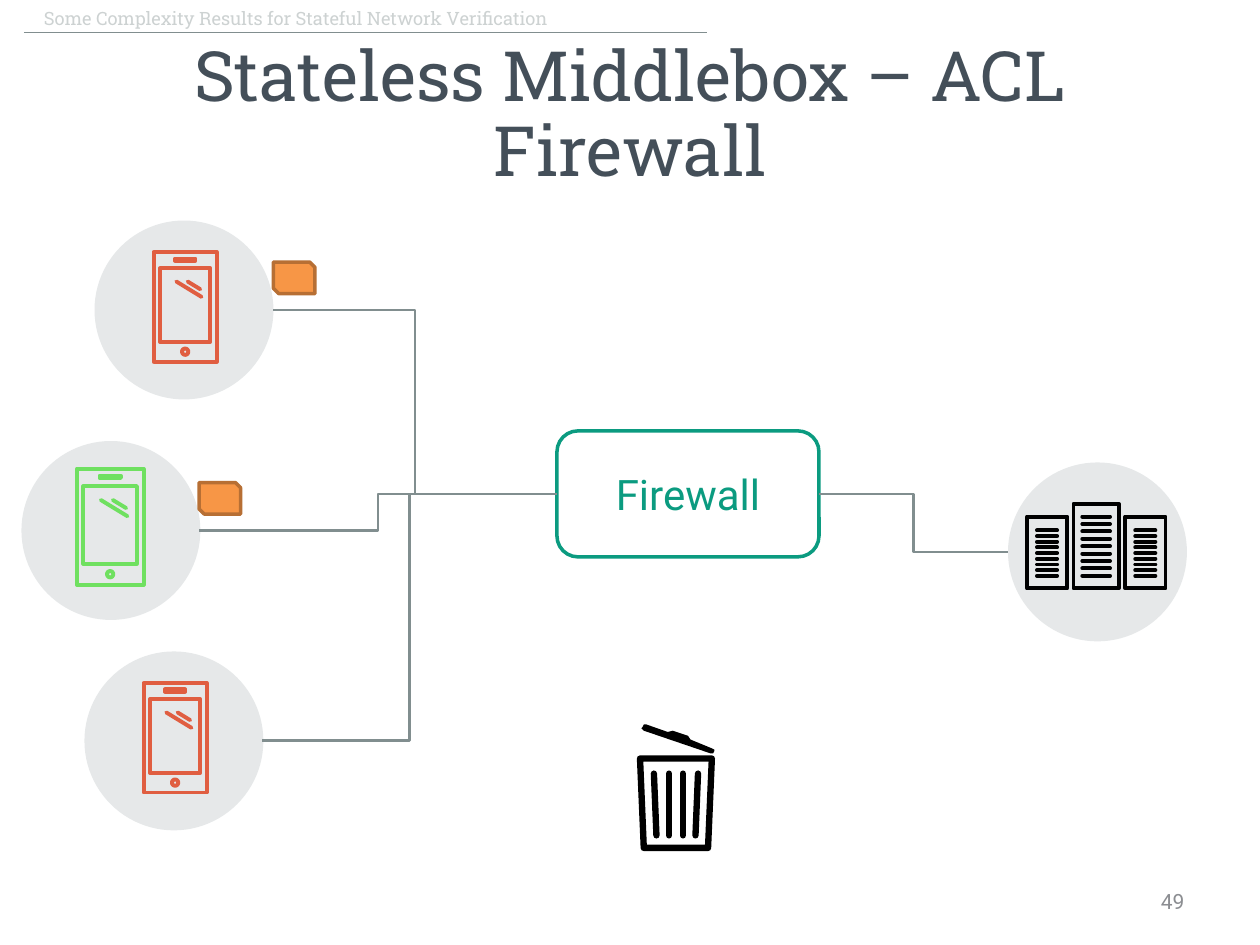
from math import cos, pi, sin

from lxml.etree import SubElement
from pptx import Presentation
from pptx.dml.color import RGBColor
from pptx.enum.shapes import MSO_CONNECTOR as LINK, MSO_SHAPE as SHAPE
from pptx.enum.text import MSO_ANCHOR as ANCHOR, MSO_AUTO_SIZE as FIT, PP_ALIGN as ALIGN
from pptx.oxml.ns import qn
from pptx.util import Inches, Pt

COLORS = {
    "header": "CDD2D2", "link": "818E8F", "disc": "E6E8E9", "red": "E05E41",
    "green": "6FE060", "ink": "000000", "title": "444F59", "wall": "0B9B80",
    "packet": "F79646", "packet_edge": "B76F34", "number": "8C8E92",
}
HEADER = "Some Complexity Results for Stateful Network Veriﬁcation"
TITLE = "Stateless Middlebox – ACL Firewall"
DISC = 1.42
FIREWALL = (4.42, 3.42, 2.08, 1)
PHONES = [
    ((0.75, 1.75), (1.22, 2, 0.5, 0.87), "red"),
    ((0.67, 5.17), (1.14, 5.42, 0.5, 0.87), "red"),
    ((0.17, 3.5), (0.61, 3.72, 0.53, 0.92), "green"),
]
SERVER_DISC = (8, 3.67)
RACKS = [
    ((8.15, 4.1, 0.32, 0.57), 4.21, 0.08),
    ((8.93, 4.1, 0.32, 0.57), 4.21, 0.08),
    ((8.52, 4, 0.36, 0.67), 4.1, 0.07),
]
BAR_COUNT, LAST_BAR = 9, 4.57
LINKS = [
    (2.17, 2.46, 4.42, 3.92), (1.58, 4.21, 4.42, 3.92),
    (2.08, 5.88, 4.42, 3.92), (6.5, 3.92, 8, 4.38),
]
PACKETS = [(2.17, 2.08), (1.58, 3.83)]
LID = [
    (5.65, 5.94), (5.48, 5.87), (5.46, 5.84), (5.34, 5.8), (5.3, 5.81),
    (5.13, 5.75), (5.11, 5.75), (5.1, 5.77), (5.09, 5.78), (5.11, 5.8),
    (5.64, 5.98), (5.66, 5.98), (5.67, 5.96), (5.67, 5.95),
]
BIN = [(5.08, 6.02), (5.65, 6.02), (5.62, 6.73), (5.11, 6.73)]
SLATS = [(5.21, 5.19), (5.31, 5.31), (5.42, 5.42), (5.52, 5.54)]
SLAT_Y = (6.63, 6.14)


def rgb(name):
    return RGBColor.from_string(COLORS[name])


def paint(sp, fill=None, line=None, width=2.25):
    sp.shadow.inherit = False
    if fill:
        sp.fill.solid()
        sp.fill.fore_color.rgb = rgb(fill)
    else:
        sp.fill.background()
    if line:
        sp.line.color.rgb = rgb(line)
        sp.line.width = Pt(width)
    else:
        sp.line.fill.background()


def add_shape(shapes, kind, box, **look):
    sp = shapes.add_shape(kind, *map(Inches, box))
    paint(sp, **look)
    return sp


def round_caps(sp):
    sp.element.spPr.find(qn("a:ln")).set("cap", "rnd")


def add_line(shapes, ends, color, width, kind=LINK.STRAIGHT):
    sp = shapes.add_connector(kind, *map(Inches, ends))
    sp.line.color.rgb = rgb(color)
    sp.line.width = Pt(width)
    SubElement(sp.element.spPr, qn("a:effectLst"))
    return sp


def add_outline(shapes, contours, **look):
    builder = None
    for points, closed in contours:
        first, *rest = [(Inches(x), Inches(y)) for x, y in points]
        if builder is None:
            builder = shapes.build_freeform(*first)
        else:
            builder.move_to(*first)
        builder.add_line_segments(rest, close=closed)
    sp = builder.convert_to_shape()
    paint(sp, **look)
    if look.get("line"):
        round_caps(sp)


def corners(x, y, w, h):
    return [(x, y), (x + w, y), (x + w, y + h), (x, y + h)]


def add_text(sp, text, align, **font):
    tf = sp.text_frame
    tf.word_wrap = True
    tf.auto_size = FIT.NONE
    tf.vertical_anchor = ANCHOR.MIDDLE
    p = tf.paragraphs[0]
    p.alignment = align
    r = p.add_run()
    r.text = text
    r.font.color.rgb = rgb(font.pop("color"))
    for key, value in font.items():
        setattr(r.font, key, value)
    return p


def add_phone(shapes, box, color):
    x, y, w, h = box

    def part(left, top, right, bottom):
        return x + left * w, y + top * h, (right - left) * w, (bottom - top) * h

    def stroke(*points):
        return [(x + u * w, y + v * h) for u, v in points]

    button = [(x + w / 2 + 0.025 * cos(k * pi / 8), y + 0.91 * h + 0.025 * sin(k * pi / 8))
              for k in range(16)]
    add_outline(shapes, [
        (corners(*box), True),
        (corners(*part(0.34, 0.06, 0.66, 0.08)), True),
        (button, True),
        (corners(*part(0.1, 0.15, 0.9, 0.82)), True),
        (stroke((0.54, 0.27), (0.74, 0.34)), False),
        (stroke((0.36, 0.27), (0.76, 0.41)), False),
    ], line=color)


def add_rack(shapes, box, first_bar, inset):
    add_outline(shapes, [(corners(*box), True)], line="ink")
    x, _, w, _ = box
    pitch = (LAST_BAR - first_bar) / (BAR_COUNT - 1)
    for i in range(BAR_COUNT):
        y = first_bar + i * pitch
        round_caps(add_line(shapes, (x + inset, y, x + w - inset, y), "ink", 2.25))


def add_bin(shapes):
    add_outline(shapes, [(LID, True)], fill="ink")
    add_outline(shapes, [(BIN, True)], line="ink", width=3.63)
    for bottom_x, top_x in SLATS:
        ends = (bottom_x, SLAT_Y[0], top_x, SLAT_Y[1])
        round_caps(add_line(shapes, ends, "ink", 3.63))


def main():
    prs = Presentation()
    prs.slide_width, prs.slide_height = Inches(10), Inches(7.5)
    s = prs.slides.add_slide(prs.slide_layouts[5])
    shapes = s.shapes

    title = shapes.title
    for key, value in zip(("left", "top", "width", "height"), (0.5, 0.3, 9, 1.25)):
        setattr(title, key, Inches(value))
    p = add_text(title, TITLE, ALIGN.CENTER, size=Pt(39.6), name="Roboto Slab", color="title")
    p.line_spacing = 0.9

    header = shapes.add_textbox(*map(Inches, (0.25, 0.06, 4.88, 0.17)))
    add_text(header, HEADER, ALIGN.LEFT, size=Pt(10.5), name="Roboto Slab", color="header")
    add_line(shapes, (0.19, 0.26, 5.61, 0.26), "link", 0.75)

    for disc, box, color in PHONES:
        host = shapes.add_group_shape().shapes
        add_shape(host, SHAPE.OVAL, (*disc, DISC, DISC), fill="disc")
        add_phone(host, box, color)

    servers = shapes.add_group_shape().shapes
    add_shape(servers, SHAPE.OVAL, (*SERVER_DISC, DISC, DISC), fill="disc")
    for rack in RACKS:
        add_rack(servers, *rack)

    wall = add_shape(shapes, SHAPE.ROUNDED_RECTANGLE, FIREWALL, line="wall", width=2)
    add_text(wall, "Firewall", ALIGN.CENTER, size=Pt(24), name="Roboto", color="wall")
    for ends in LINKS:
        add_line(shapes, ends, "link", 1.5, LINK.ELBOW)
    for spot in PACKETS:
        add_shape(shapes, SHAPE.SNIP_2_DIAG_RECTANGLE, (*spot, 0.33, 0.25),
                  fill="packet", line="packet_edge", width=2)

    add_bin(shapes.add_group_shape().shapes)

    number = shapes.add_textbox(*map(Inches, (7.17, 6.95, 2.33, 0.4)))
    add_text(number, "49", ALIGN.RIGHT, size=Pt(12), name="Roboto", color="number")
    prs.save("out.pptx")


if __name__ == "__main__":
    main()
